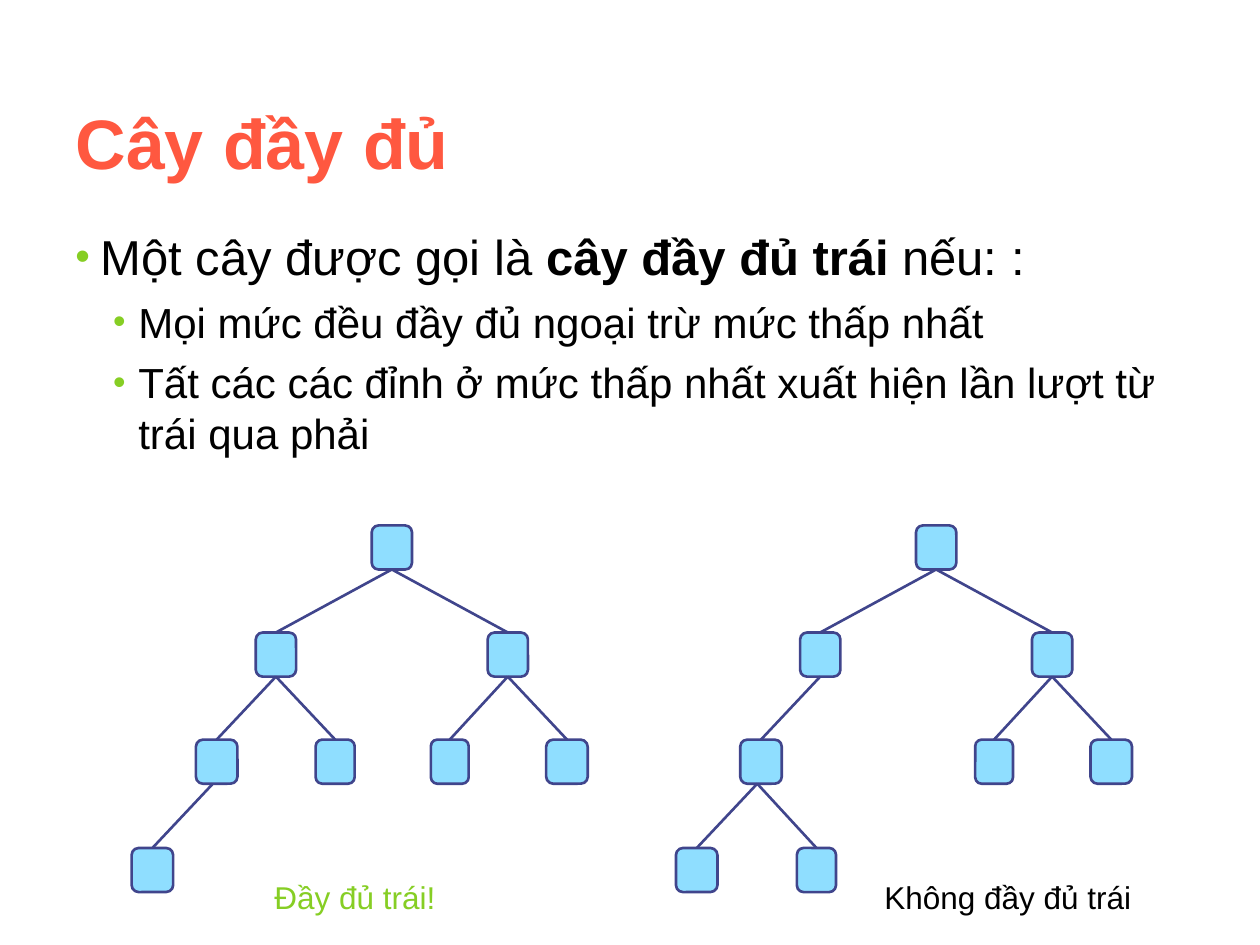
from lxml.etree import SubElement
from pptx import Presentation
from pptx.dml.color import RGBColor
from pptx.enum.shapes import MSO_CONNECTOR, MSO_SHAPE
from pptx.enum.text import MSO_ANCHOR, PP_ALIGN
from pptx.oxml.ns import qn
from pptx.util import Inches, Pt

# Node: horizontal distance from the root's centre, level, width
NODES = {
    "root": (0, 0, 0.32), "L": (-0.92, 1, 0.32), "R": (0.92, 1, 0.32),
    "LL": (-1.39, 2, 0.33), "LR": (-0.45, 2, 0.31),
    "RL": (0.46, 2, 0.3), "RR": (1.39, 2, 0.33),
    "LLL": (-1.9, 3, 0.33), "LLR": (-0.95, 3, 0.31),
}
LEVEL_TOPS = [4.17, 5.02, 5.87, 6.73]
NODE_HEIGHT = 0.35
LAST_LEVEL_SHIFT = -0.03  # lowest edges start slightly left of centre


def color(value):
    return RGBColor.from_string(value)


class SlideBuilder:
    font = "Arial"
    black, green, red = "000000", "86CE24", "FF5840"
    node_fill, node_line = "8FDEFF", "40458C"
    line_width = Pt(1.5)

    def __init__(self, slide):
        self.slide = slide

    def add_run(self, paragraph, text, size, text_color, bold=False):
        run = paragraph.add_run()
        run.text = text
        values = {"name": self.font, "size": Pt(size), "bold": bold}
        for name, value in values.items():
            setattr(run.font, name, value)
        run.font.color.rgb = color(text_color)

    def place(self, shape, left, top, width, height):
        box = {"left": left, "top": top, "width": width, "height": height}
        for name, value in box.items():
            setattr(shape, name, Inches(value))

    def title(self, text, *box):
        shape = self.slide.shapes.title
        self.place(shape, *box)
        shape.text_frame.vertical_anchor = MSO_ANCHOR.MIDDLE
        paragraph = shape.text_frame.paragraphs[0]
        paragraph.alignment = PP_ALIGN.LEFT
        self.add_run(paragraph, text, 40, self.red, True)

    def text_box(self, *box):
        shape = self.slide.shapes.add_textbox(*map(Inches, box))
        shape.text_frame.word_wrap = True
        return shape.text_frame

    def label(self, text, text_color, *box):
        paragraph = self.text_box(*box).paragraphs[0]
        self.add_run(paragraph, text, 18, text_color)

    def bullets(self, items, *box):
        frame = self.text_box(*box)
        for index, (level, size, before, indent, runs) in enumerate(items):
            paragraph = frame.add_paragraph() if index else frame.paragraphs[0]
            paragraph.level = level
            paragraph.space_before = Pt(before)
            self.add_bullet(paragraph, indent)
            for text, bold in runs:
                self.add_run(paragraph, text, size, self.black, bold)

    def add_bullet(self, paragraph, indent):
        properties = paragraph._p.get_or_add_pPr()
        properties.set("marL", str(Inches(indent)))
        properties.set("indent", str(Inches(-0.2)))
        bullet_color = SubElement(properties, qn("a:buClr"))
        SubElement(bullet_color, qn("a:srgbClr"), val=self.green)
        SubElement(properties, qn("a:buSzPct"), val="85000")
        SubElement(properties, qn("a:buFont"), typeface=self.font)
        SubElement(properties, qn("a:buChar"), char="•")

    def outline(self, shape):
        shape.line.color.rgb = color(self.node_line)
        shape.line.width = self.line_width

    def node(self, group, center, top, width):
        box = (center - width / 2, top, width, NODE_HEIGHT)
        shape = group.shapes.add_shape(MSO_SHAPE.ROUNDED_RECTANGLE, *map(Inches, box))
        shape.adjustments[0] = 0.17
        shape.shadow.inherit = False
        shape.fill.solid()
        shape.fill.fore_color.rgb = color(self.node_fill)
        self.outline(shape)
        return shape

    def edge(self, group, parent, child, shift):
        start = parent.left + parent.width // 2 + Inches(shift)
        connector = group.shapes.add_connector(
            MSO_CONNECTOR.STRAIGHT, start, parent.top + parent.height,
            child.left + child.width // 2, child.top)
        if not shift:
            connector.begin_connect(parent, 2)
        connector.end_connect(child, 0)
        SubElement(connector._element.spPr, qn("a:effectLst"))
        self.outline(connector)

    def tree(self, root_center, names):
        group = self.slide.shapes.add_group_shape()
        nodes = {}
        for name in names:
            offset, level, width = NODES[name]
            nodes[name] = self.node(group, root_center + offset, LEVEL_TOPS[level], width)
        for name in names[1:]:
            parent = nodes[name[:-1] or "root"]
            shift = LAST_LEVEL_SHIFT if NODES[name][1] == 3 else 0
            self.edge(group, parent, nodes[name], shift)


def main():
    presentation = Presentation()
    presentation.slide_width = Inches(10)
    presentation.slide_height = Inches(7.5)
    builder = SlideBuilder(presentation.slides.add_slide(presentation.slide_layouts[5]))

    # Title and definition
    builder.title("Cây đầy đủ", 0.5, 0.58, 9, 1.08)
    builder.bullets([
        (0, 28, 7, 0.2, [("Một cây được gọi là ", False),
                         ("cây đầy đủ trái", True), (" nếu: :", False)]),
        (1, 24, 6, 0.5, [("Mọi mức đều đầy đủ ngoại trừ mức thấp nhất", False)]),
        (1, 24, 6, 0.5, [("Tất các các đỉnh ở mức thấp nhất xuất hiện "
                          "lần lượt từ trái qua phải", False)]),
    ], 0.5, 1.75, 9, 5.33)

    # Left-complete tree and counterexample
    builder.tree(3.11, ["root", "L", "R", "RL", "RR", "LL", "LR", "LLL"])
    builder.tree(7.43, ["root", "L", "R", "RL", "RR", "LL", "LLL", "LLR"])

    # Captions
    builder.label("Đầy đủ trái!", builder.green, 2.08, 6.92, 2.08, 0.4)
    builder.label("Không đầy đủ trái", builder.black, 6.92, 6.92, 2.33, 0.4)

    presentation.save("out.pptx")


if __name__ == "__main__":
    main()
